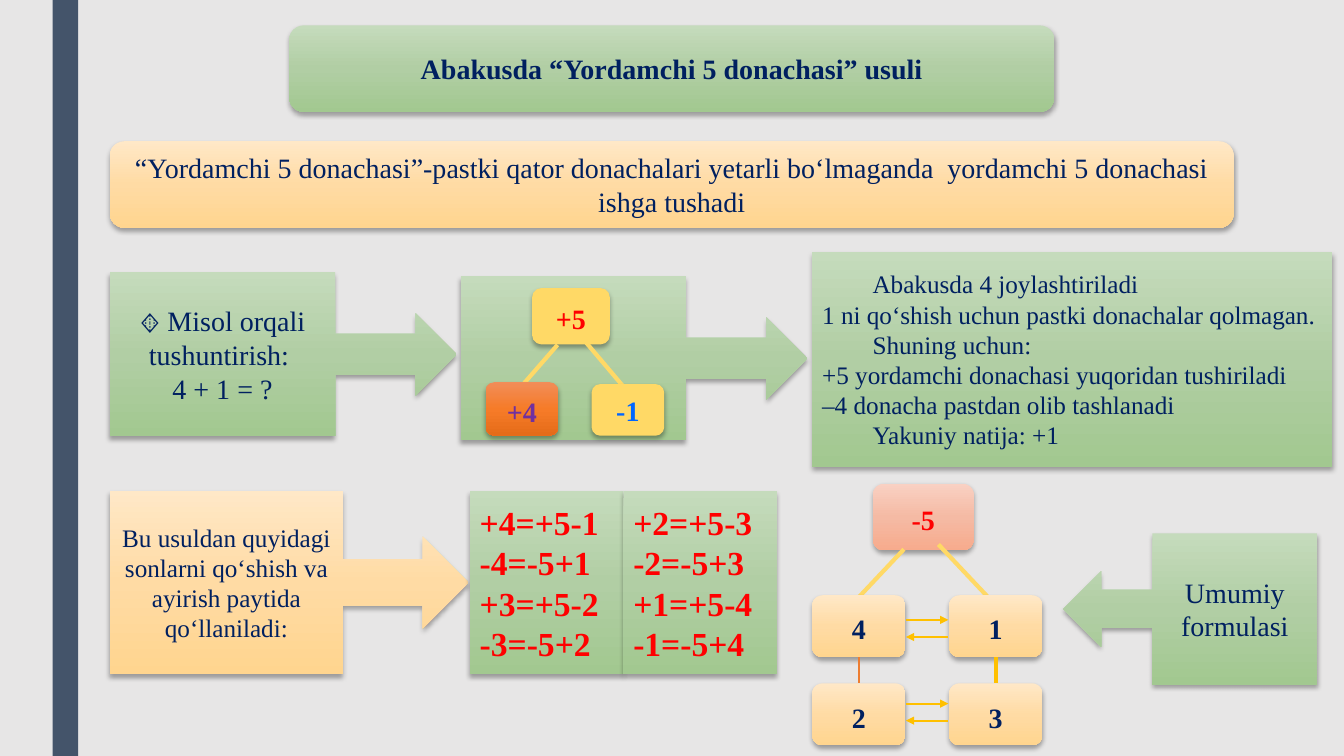
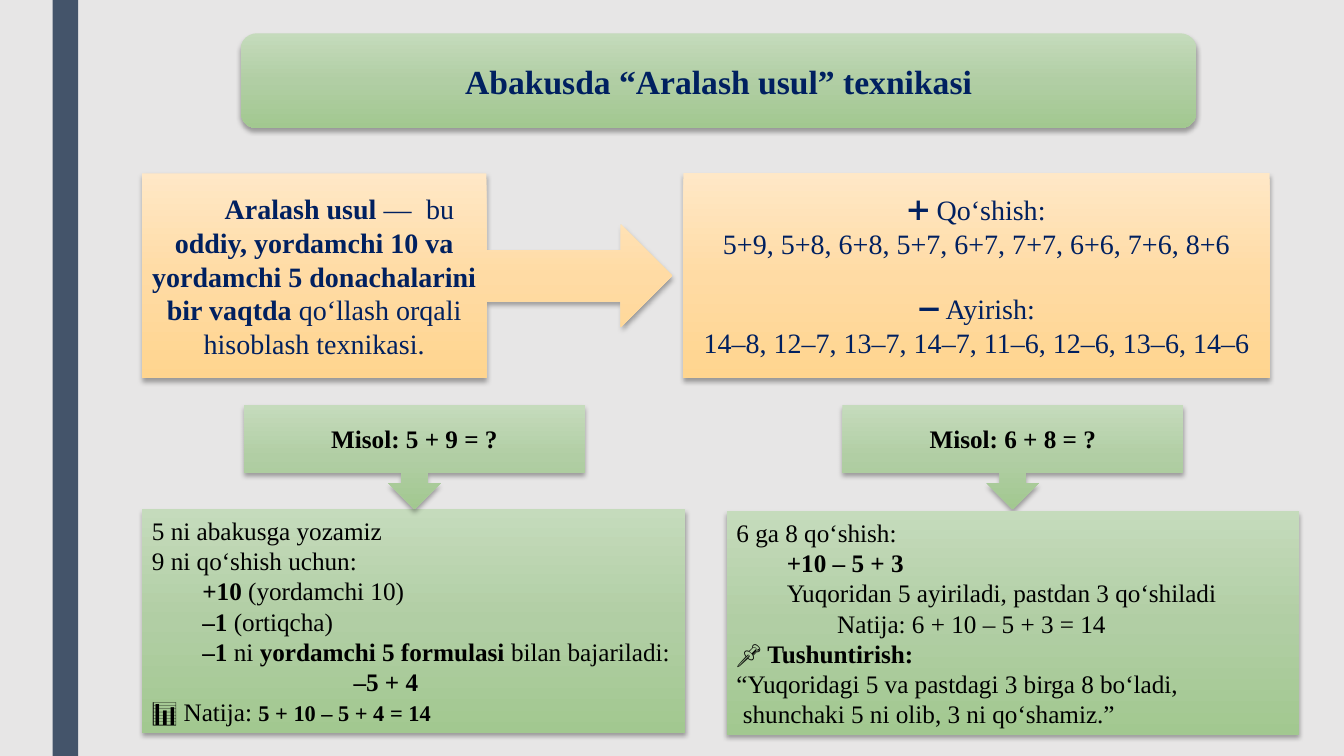
from copy import deepcopy
from lxml import etree
from pptx import Presentation, util as u
from pptx.dml.color import RGBColor as Rgb
from pptx.enum import shapes as sh, text as tx
from pptx.oxml.ns import qn

Cm, Pt, Kind, Al = u.Cm, u.Pt, sh.MSO_SHAPE, tx.PP_ALIGN
FONT = "Times New Roman"
HUE = {"back": "E7E6E6", "band": "44546A", "navy": "002060", "black": "000000",
       "red": "FF0000", "plum": "7030A0", "blue": "0066FF", "gold": "FFD966",
       "amber": "FFC000", "rust": "ED7D31"}
GRAD = {"green": ("C5DBBC", "B1CEA4", "A2C890"),
        "sand": ("FFE8C7", "FFDBA4", "FFD58F"),
        "flame": ("F18D59", "F67B28", "E56C19"),
        "rose": ("F9D1C3", "F5BAA4", "F7AB8D")}
BEAD = {"bold": True, "form": {"line_spacing": 1.15}}
LEFT = {"form": {"alignment": Al.LEFT}}


def box(sld, kind, place, fill, lines=(), size=20, ink="navy", bold=False, form=None):
    """Shadowed shape; a line is text or (text, format), with |bold| parts."""
    shp = sld.shapes.add_shape(kind, *map(Cm, place))
    shp.line.fill.background()
    if fill in GRAD:
        shp.fill.gradient()
        shp.fill.gradient_angle = 270
        stops = shp._element.spPr.find(".//" + qn("a:gsLst"))
        stops.insert(1, deepcopy(stops[0]))
        for stop, pos, tint in zip(shp.fill.gradient_stops, (0, 0.5, 1), GRAD[fill]):
            stop.position, stop.color.rgb = pos, Rgb.from_string(tint)
    else:
        shp.fill.solid()
        shp.fill.fore_color.rgb = Rgb.from_string(HUE[fill])
    shp.shadow.inherit = False
    glow = etree.SubElement(shp._element.spPr.find(qn("a:effectLst")), qn("a:outerShdw"),
                            blurRad=str(Pt(3.5)), dist=str(Pt(2.2)), dir="5400000",
                            algn="ctr", rotWithShape="0")
    tone = etree.SubElement(glow, qn("a:srgbClr"), val=HUE["black"])
    etree.SubElement(tone, qn("a:alpha"), val="32000")

    frame = shp.text_frame
    frame.word_wrap, frame.vertical_anchor = True, tx.MSO_ANCHOR.MIDDLE
    for i, line in enumerate(lines):
        words, own = (line, {}) if isinstance(line, str) else line
        para = frame.add_paragraph() if i else frame.paragraphs[0]
        for key, val in {"alignment": Al.CENTER, **(form or {}), **own}.items():
            if key in ("marL", "indent"):
                para._p.get_or_add_pPr().set(key, str(Cm(val)))
            else:
                setattr(para, key, val)
        for j, part in enumerate(words.split("|")):
            if part:
                run = para.add_run()
                run.text = part
                run.font.color.rgb = Rgb.from_string(HUE[ink])
                look = {"name": FONT, "size": Pt(size), "bold": bold or j % 2 == 1}
                for key, val in look.items():
                    setattr(run.font, key, val)
    return shp


def link(sld, ends, hue, width, arrow=False):
    """Straight line between two points."""
    con = sld.shapes.add_connector(sh.MSO_CONNECTOR.STRAIGHT, *map(Cm, ends))
    con.line.color.rgb = Rgb.from_string(HUE[hue])
    con.line.width = Pt(width)
    spot = con._element.spPr
    if arrow:
        etree.SubElement(spot.find(qn("a:ln")), qn("a:tailEnd"), type="triangle")
    etree.SubElement(spot, qn("a:effectLst"))
    return con


deck = Presentation()
deck.slide_width, deck.slide_height = Cm(33.87), Cm(19.05)

# Background, side band and title of each slide
heads = [("Abakusda “Yordamchi 5 donachasi” usuli", (7.29, 0.64, 19.28, 2.18), 20),
         ("Abakusda “Aralash usul” texnikasi", (6.07, 0.84, 24.08, 2.39), 24)]
pages = []
for head, place, size in heads:
    page = deck.slides.add_slide(deck.slide_layouts[6])
    page.background.fill.solid()
    page.background.fill.fore_color.rgb = Rgb.from_string(HUE["back"])
    band = page.shapes.add_shape(Kind.RECTANGLE, Cm(1.33), 0, Cm(0.64), deck.slide_height)
    band.shadow.inherit = False
    band.fill.solid()
    band.fill.fore_color.rgb = Rgb.from_string(HUE["band"])
    band.line.fill.background()
    box(page, Kind.ROUNDED_RECTANGLE, place, "green", [head], size, bold=True)
    pages.append(page)
five, mixed = pages

# Slide 1: rule and worked example
box(five, Kind.ROUNDED_RECTANGLE, (2.77, 3.56, 28.32, 2.18), "sand",
    ["“Yordamchi 5 donachasi”-pastki qator donachalari yetarli bo‘lmaganda  "
     "yordamchi 5 donachasi ishga tushadi"])
box(five, Kind.RIGHT_ARROW_CALLOUT, (2.77, 6.86, 8.74, 4.14), "green",
    ["🔸 Misol orqali tushuntirish: ", "4 + 1 = ?"])
tab = {"marL": 1.27}
box(five, Kind.RECTANGLE, (20.47, 6.35, 13.11, 5.41), "green",
    [("Abakusda 4 joylashtiriladi", tab),
     "1 ni qo‘shish uchun pastki donachalar qolmagan.",
     ("Shuning uchun:", tab),
     "+5 yordamchi donachasi yuqoridan tushiriladi",
     "–4 donacha pastdan olib tashlanadi",
     ("Yakuniy natija: +1", tab)], 18, **LEFT)

# Tree of +5
box(five, Kind.RIGHT_ARROW_CALLOUT, (11.61, 6.96, 8.74, 4.14), "green")
box(five, Kind.ROUNDED_RECTANGLE, (13.41, 7.26, 1.96, 1.42), "gold", ["+5"], ink="red", **BEAD)
for ends in [(14.05, 8.69, 13.03, 9.86), (14.71, 8.56, 15.7, 9.73)]:
    link(five, ends, "gold", 3)
box(five, Kind.ROUNDED_RECTANGLE, (12.24, 9.63, 1.83, 1.35), "flame", ["+4"], ink="plum", **BEAD)
box(five, Kind.ROUNDED_RECTANGLE, (14.91, 9.68, 1.83, 1.3), "gold", ["-1"],
    ink="blue", bold=True)

# Formula list
box(five, Kind.RIGHT_ARROW_CALLOUT, (2.77, 12.37, 9.04, 4.62), "sand",
    ["Bu usuldan quyidagi sonlarni qo‘shish va ayirish paytida qo‘llaniladi:"], 18)
sums = [["+4=+5-1", "-4=-5+1", "+3=+5-2", "-3=-5+2"],
        ["+2=+5-3", "-2=-5+3", "+1=+5-4", "-1=-5+4"]]
for col, rows in enumerate(sums):
    box(five, Kind.RECTANGLE, (11.84 + 3.87 * col, 12.37, 3.87, 4.62), "green",
        rows, 24, "red", True, **LEFT)

# Tree of -5
box(five, Kind.ROUNDED_RECTANGLE, (22, 12.19, 2.54, 1.68), "rose", ["-5"], ink="red", **BEAD)
for ends in [(22.78, 13.84, 21.49, 15.21), (23.65, 13.72, 24.94, 15.09)]:
    link(five, ends, "gold", 3)
for col, (pair, hue, width) in enumerate([("42", "rust", 1.5), ("13", "amber", 2.75)]):
    top, low = [box(five, Kind.ROUNDED_RECTANGLE,
                    (20.47 + 3.45 * col, 15 + 2.22 * row, 2.35, 1.56), "sand", [num], **BEAD)
                for row, num in enumerate(pair)]
    stem = link(five, (0, 0, 1, 1), hue, width)
    stem.begin_connect(top, 2)
    stem.end_connect(low, 0)
for row in range(2):
    y = 15.62 + 2.11 * row
    link(five, (22.83, y, 23.9, y), "amber", 1.5, True)
    link(five, (23.9, y + 0.43, 22.83, y + 0.43), "amber", 1.5, True)
box(five, Kind.LEFT_ARROW_CALLOUT, (26.8, 13.44, 6.4, 3.81), "green", ["Umumiy formulasi"])

# Slide 2: definition and lists of sums
box(mixed, Kind.RIGHT_ARROW_CALLOUT, (3.58, 4.37, 13.36, 5.16), "sand",
    [("|Aralash usul| — \tbu |oddiy, yordamchi 10 va yordamchi 5 donachalarini "
      "bir vaqtda |qo‘llash orqali hisoblash texnikasi.", {"indent": 1.27})])
box(mixed, Kind.RECTANGLE, (17.22, 4.37, 14.78, 5.16), "sand",
    ["➕ Qo‘shish:", "5+9, 5+8, 6+8, 5+7, 6+7, 7+7, 6+6, 7+6, 8+6",
     ("➖ Ayirish:", {"space_before": Pt(23)}),
     "14–8, 12–7, 13–7, 14–7, 11–6, 12–6, 13–6, 14–6"])

# Two worked examples
first = box(mixed, Kind.RECTANGLE, (3.58, 12.83, 13.69, 5.64), "green",
            ["5 ni abakusga yozamiz", "9 ni qo‘shish uchun:",
             ("|+10| (yordamchi 10)", tab), ("|–1| (ortiqcha)", tab),
             ("|–1 |ni |yordamchi 5 formulasi |bilan bajariladi:", tab),
             ("|–5 + 4|", {"marL": 5.08}),
             "📊 Natija: |5 + 10 – 5 + 4 = 14|"], 18, "black", **LEFT)
first.text_frame.paragraphs[-1].runs[-1].font.size = Pt(16)
for x, task in [(6.15, "5 + 9"), (21.23, "6 + 8")]:
    box(mixed, Kind.DOWN_ARROW_CALLOUT, (x, 10.21, 8.59, 2.62), "green",
        [f"Misol: {task} = ?"], 18, "black", True)
box(mixed, Kind.RECTANGLE, (18.31, 12.88, 14.43, 5.64), "green",
    ["6 ga 8 qo‘shish:", ("|+10 – 5 + 3|", tab),
     ("Yuqoridan 5 ayiriladi, pastdan 3 qo‘shiladi", tab),
     ("Natija: 6 + 10 – 5 + 3 = 14", {"marL": 2.54}),
     "|📌 Tushuntirish:|", "“Yuqoridagi 5 va pastdagi 3 birga 8 bo‘ladi,",
     ("shunchaki 5 ni olib, 3 ni qo‘shamiz.”", {"marL": 0.16})], 18, "black", **LEFT)

deck.save("out.pptx")
